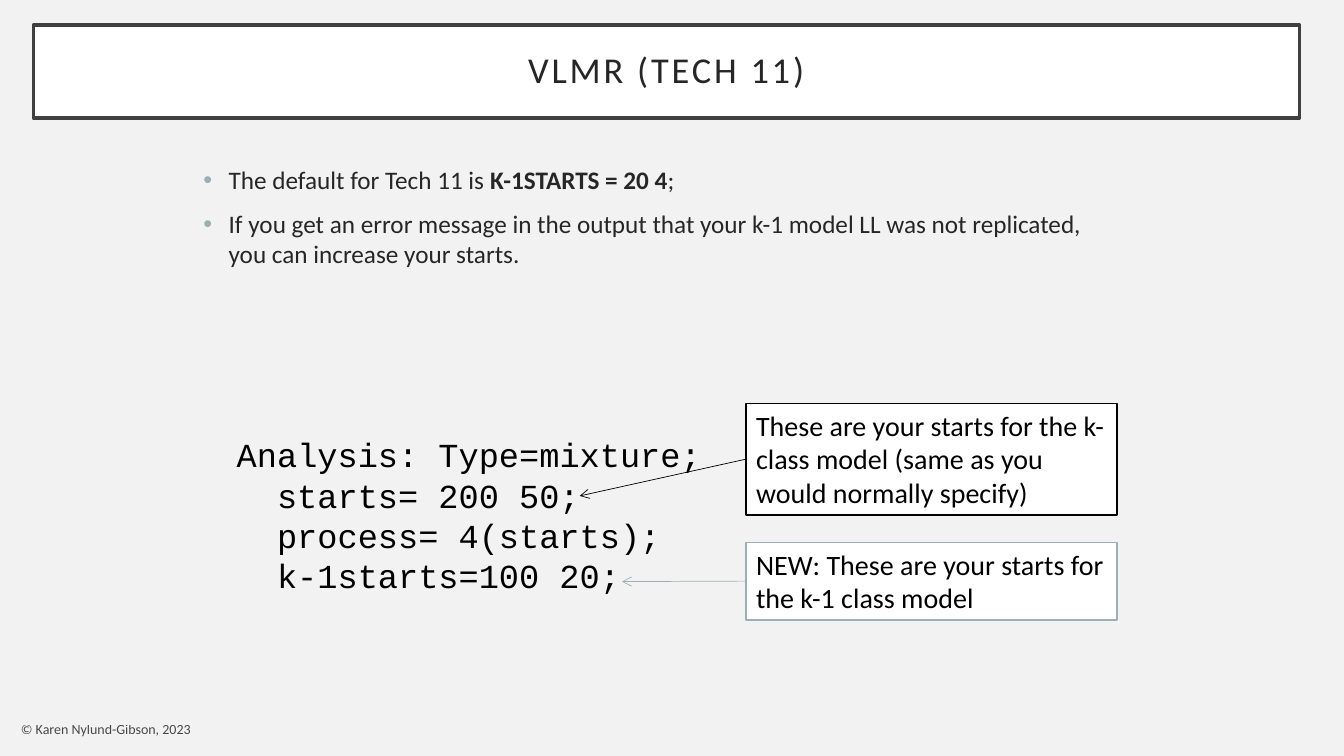
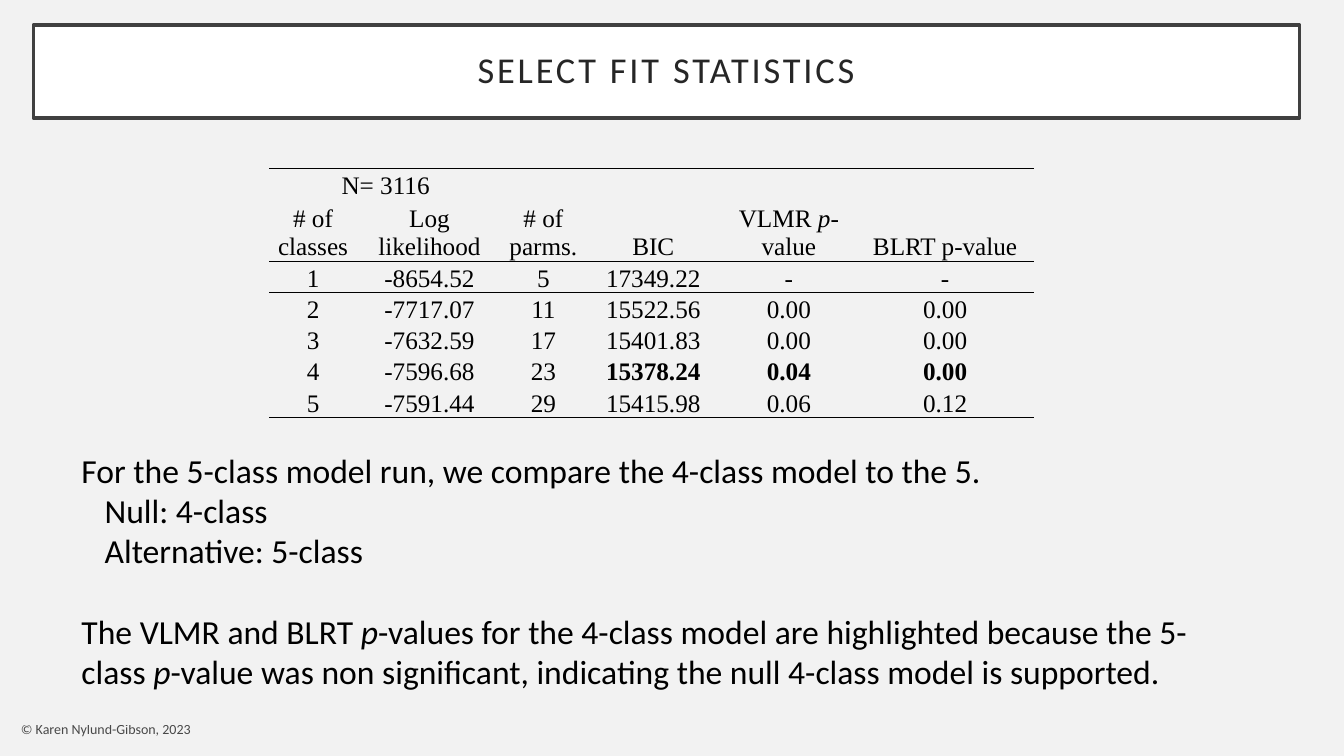
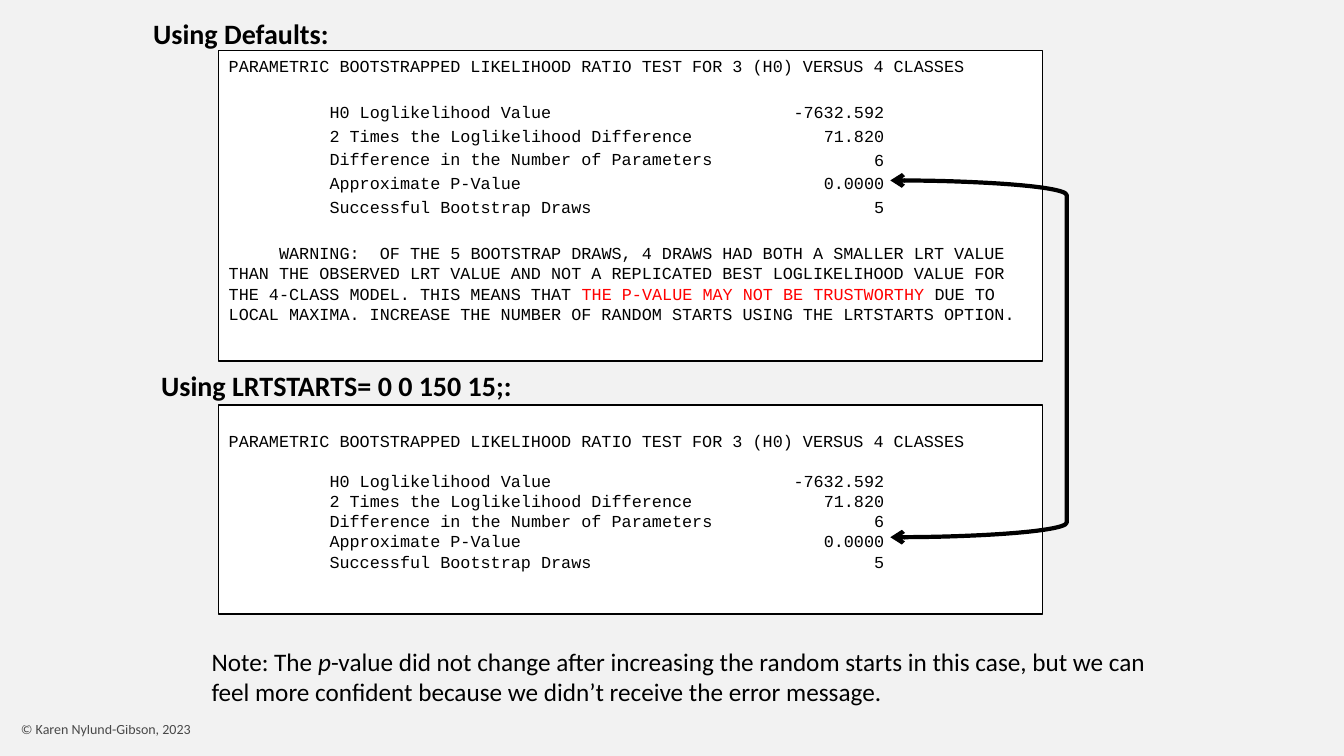
from lxml import etree
from pptx import Presentation
from pptx import util as u
from pptx.dml.color import RGBColor
from pptx.enum import shapes, text
from pptx.oxml.ns import qn

C = {"bg": "F2F2F2", "white": "FFFFFF", "black": "000000", "frame": "404040",
     "ink": "262626", "accent": "9BAFB5", "red": "FF0000"}
RGB = {name: RGBColor.from_string(value) for name, value in C.items()}
MONO, SERIF = "Courier New", "Times New Roman"
ITALIC = {"italic": True}


def para(tf, runs, size=18, font="Calibri", color="black", bold=False, align="LEFT",
         before=0, left=0, first=0, bullet=None):
    p = tf.paragraphs[0]
    if p.runs:
        p = tf.add_paragraph()
    p.alignment = getattr(text.PP_ALIGN, align)
    if before:
        p.space_before = u.Pt(before)
    pPr = p._p.get_or_add_pPr()
    pPr.set("marL", str(u.Inches(left)))
    pPr.set("indent", str(u.Inches(first)))
    if bullet:
        clr = etree.SubElement(pPr, qn("a:buClr"))
        etree.SubElement(clr, qn("a:srgbClr"), val=C["accent"])
        etree.SubElement(pPr, qn("a:buFont"), typeface="Arial")
        etree.SubElement(pPr, qn("a:buChar"), char=bullet)
    for words, extra in [(runs, {})] if isinstance(runs, str) else runs:
        r = p.add_run()
        r.text = words
        r.font.name = font
        r.font.size = u.Pt(size)
        r.font.bold = extra.get("bold", bold)
        r.font.italic = extra.get("italic", False)
        r.font.color.rgb = RGB[extra.get("color", color)]
    end = etree.SubElement(p._p, qn("a:endParaRPr"), sz=str(size * 100))
    etree.SubElement(end, qn("a:latin"), typeface=font)
    return p


def box(s, x, y, w, h, line=None):
    at = [u.Inches(v) for v in (x, y, w, h)]
    if line:
        sp = s.shapes.add_shape(shapes.MSO_SHAPE.RECTANGLE, *at)
        sp.shadow.inherit = False
        sp.fill.solid()
        sp.fill.fore_color.rgb = RGB["white"]
        sp.line.color.rgb = RGB[line]
        sp.line.width = u.Pt(1)
    else:
        sp = s.shapes.add_textbox(*at)
    sp.text_frame.word_wrap = True
    sp.text_frame.vertical_anchor = text.MSO_ANCHOR.TOP
    return sp


prs = Presentation()
prs.slide_width, prs.slide_height = u.Inches(13.33), u.Inches(7.5)
fill = prs.slide_master.background.fill
fill.solid()
fill.fore_color.rgb = RGB["bg"]

slides = []
for title in ["VLMR (TECH 11)", "SELECT FIT STATISTICS", None]:
    s = prs.slides.add_slide(prs.slide_layouts[5 if title else 6])
    slides.append(s)
    if title:
        sp = s.shapes.title
        sp.left, sp.top = u.Inches(0.33), u.Inches(0.25)
        sp.width, sp.height = u.Inches(12.56), u.Inches(0.92)
        sp.fill.solid()
        sp.fill.fore_color.rgb = RGB["white"]
        sp.line.color.rgb = RGB["frame"]
        sp.line.width = u.Pt(2.5)
        tf = sp.text_frame
        tf.word_wrap = True
        tf.auto_size = text.MSO_AUTO_SIZE.NONE
        tf.vertical_anchor = text.MSO_ANCHOR.MIDDLE
        tf.margin_left = tf.margin_right = tf.margin_top = tf.margin_bottom = u.Inches(0.2)
        p = para(tf, title, size=26, color="ink", align="CENTER")
        p.line_spacing = 0.9
        p.runs[0]._r.get_or_add_rPr().set("spc", "200")
    tf = box(s, 0.11, 7.06, 6.64, 0.35).text_frame
    tf.vertical_anchor = text.MSO_ANCHOR.MIDDLE
    p = para(tf, "© Karen Nylund-Gibson, 2023", size=10)
    for clr in p._p.iter(qn("a:srgbClr")):
        etree.SubElement(clr, qn("a:alpha"), val="70000")

arrows = []

s = slides[0]
tf = box(s, 1.92, 1.58, 9, 4.95).text_frame
for runs in [
    [("The default for Tech 11 is ", {}), ("K-1STARTS = 20 4", {"bold": True}), (";", {})],
    "If you get an error message in the output that your k-1 model LL was not replicated, "
    "you can increase your starts.",
]:
    para(tf, runs, color="ink", before=10, left=0.25, first=-0.25, bullet="•")

tf = box(s, 2.25, 4.26, 5, 1.72).text_frame
para(tf, "Analysis: Type=mixture;", size=24, font=MONO)
for code in ["starts= 200 50;", "process= 4(starts);", "k-1starts=100 20;"]:
    para(tf, code, size=24, font=MONO, left=0.4)

for y, h, color, end, words in [
    (4, 1.11, "black", (5.75, 4.92),
     "These are your starts for the k-class model (same as you would normally specify)"),
    (5.38, 0.77, "accent", (6.17, 5.77), "NEW: These are your starts for the k-1 class model"),
]:
    sp = box(s, 7.4, y, 3.68, h, line=color)
    para(sp.text_frame, words, size=20)
    x2, y2 = (u.Inches(v) for v in end)
    cx = s.shapes.add_connector(shapes.MSO_CONNECTOR.STRAIGHT, sp.left, y2, x2, y2)
    cx.begin_connect(sp, 1)
    cx.line.color.rgb = RGB[color]
    cx.line.width = u.Pt(0.5)
    etree.SubElement(cx._element.spPr, qn("a:effectLst"))
    arrows.append((cx, ["a:tailEnd"]))

s = slides[1]
rows = [
    ["N= 3116", "", "", "", "", ""],
    ["# of classes", "Log likelihood", "# of parms.", "BIC",
     [("VLMR ", {}), ("p", ITALIC), ("-value", {})], "BLRT p-value"],
    ["1", "-8654.52", "5", "17349.22", "-", "-"],
    ["2", "-7717.07", "11", "15522.56", "0.00", "0.00"],
    ["3", "-7632.59", "17", "15401.83", "0.00", "0.00"],
    ["4", "-7596.68", "23", "15378.24", "0.04", "0.00"],
    ["5", "-7591.44", "29", "15415.98", "0.06", "0.12"],
]
widths = [0.87, 1.44, 0.82, 1.36, 1.33, 1.77]
rules = {0: "a:lnT", 1: "a:lnB", 2: "a:lnB", 6: "a:lnB"}
tbl = s.shapes.add_table(len(rows), len(widths), u.Inches(2.67), u.Inches(1.67),
                         u.Inches(sum(widths)), u.Inches(0.22 * len(rows))).table
tbl.first_row = tbl.horz_banding = False
tbl._tbl.tblPr.find(qn("a:tableStyleId")).text = "{2D5ABB26-0587-4C30-8999-92F81FD0307C}"
for col, w in zip(tbl.columns, widths):
    col.width = u.Inches(w)
for i, row in enumerate(rows):
    for j, runs in enumerate(row):
        cell = tbl.cell(i, j)
        cell.margin_left = cell.margin_right = cell.margin_top = u.Inches(0.01)
        cell.margin_bottom = 0
        cell.vertical_anchor = text.MSO_ANCHOR.BOTTOM
        cell.fill.background()
        para(cell.text_frame, runs, font=SERIF, align="CENTER", bold=i == 5 and j > 2)
        if i in rules:
            ln = etree.Element(qn(rules[i]), w=str(u.Pt(1)))
            clr = etree.SubElement(etree.SubElement(ln, qn("a:solidFill")), qn("a:srgbClr"))
            clr.set("val", C["black"])
            cell._tc.get_or_add_tcPr().insert(0, ln)
tbl.cell(0, 0).merge(tbl.cell(0, 1))

tf = box(s, 0.71, 4.41, 11.5, 2.83).text_frame
para(tf, "For the 5-class model run, we compare the 4-class model to the 5.", size=24)
for words in ["Null: 4-class", "Alternative: 5-class"]:
    para(tf, words, size=24, left=0.23)
para(tf, [
    ("The VLMR and BLRT ", {}), ("p", ITALIC),
    ("-values for the 4-class model are highlighted because the 5-class ", {}), ("p", ITALIC),
    ("-value was non significant, indicating the null 4-class model is supported.", {}),
], size=24, before=29)

s = slides[2]
results = [
    ("H0 Loglikelihood Value", "-7632.592"),
    ("2 Times the Loglikelihood Difference", "71.820"),
    ("Difference in the Number of Parameters", "6"),
    ("Approximate P-Value", "0.0000"),
    ("Successful Bootstrap Draws", "5"),
]
line_height = 14.4
outputs = []
for y, h, inset, gap, blank in [(0.5, 3.08, 0.05, 2.4, 19), (4.02, 2.07, 0.25, 0, 14.4)]:
    tf = box(s, 2.17, y, 8.17, h, line="black").text_frame
    tf.margin_top = u.Inches(inset)
    para(tf, "PARAMETRIC BOOTSTRAPPED LIKELIHOOD RATIO TEST FOR 3 (H0) VERSUS 4 CLASSES",
         size=12, font=MONO, before=gap)
    values_top = y + inset + (line_height + blank) / 72
    values = box(s, 7.57, values_top, 1.2, 1.2).text_frame
    values.margin_left = values.margin_right = values.margin_top = values.margin_bottom = 0
    for i, (label, value) in enumerate(results):
        para(tf, label, size=12, font=MONO, left=1, before=gap if i else blank)
        para(values, value, size=12, font=MONO, align="RIGHT", before=gap if i else 0)
    outputs.append(tf)
para(outputs[0], [
    ("WARNING:  OF THE 5 BOOTSTRAP DRAWS, 4 DRAWS HAD BOTH A SMALLER LRT VALUE THAN THE "
     "OBSERVED LRT VALUE AND NOT A REPLICATED BEST LOGLIKELIHOOD VALUE FOR THE 4-CLASS MODEL. "
     "THIS MEANS THAT ", {}),
    ("THE P-VALUE MAY NOT BE TRUSTWORTHY", {"color": "red"}),
    (" DUE TO LOCAL MAXIMA. INCREASE THE NUMBER OF RANDOM STARTS USING THE LRTSTARTS OPTION.", {}),
], size=12, font=MONO, before=19, first=0.5)

for x, y, w, words in [(1.42, 0.11, 2.18, "Using Defaults:"),
                       (1.5, 3.61, 4.44, "Using LRTSTARTS= 0 0 150 15;:")]:
    para(box(s, x, y, w, 0.44).text_frame, words, size=20, bold=True)

para(box(s, 2, 6.36, 9.51, 0.71).text_frame, [
    ("Note: The ", {}), ("p", ITALIC),
    ("-value did not change after increasing the random starts in this case, but we can "
     "feel more confident because we didn’t receive the error message.", {}),
])

sp = s.shapes.add_shape(shapes.MSO_SHAPE.RIGHT_BRACKET, u.Inches(8.83), u.Inches(1.79),
                        u.Inches(1.75), u.Inches(3.54))
sp.shadow.inherit = False
sp.fill.background()
sp.line.color.rgb = RGB["black"]
sp.line.width = u.Pt(3)
arrows.append((sp, ["a:headEnd", "a:tailEnd"]))

for sp, ends in arrows:
    for end in ends:
        etree.SubElement(sp.line._get_or_add_ln(), qn(end), type="arrow")

prs.save("out.pptx")
